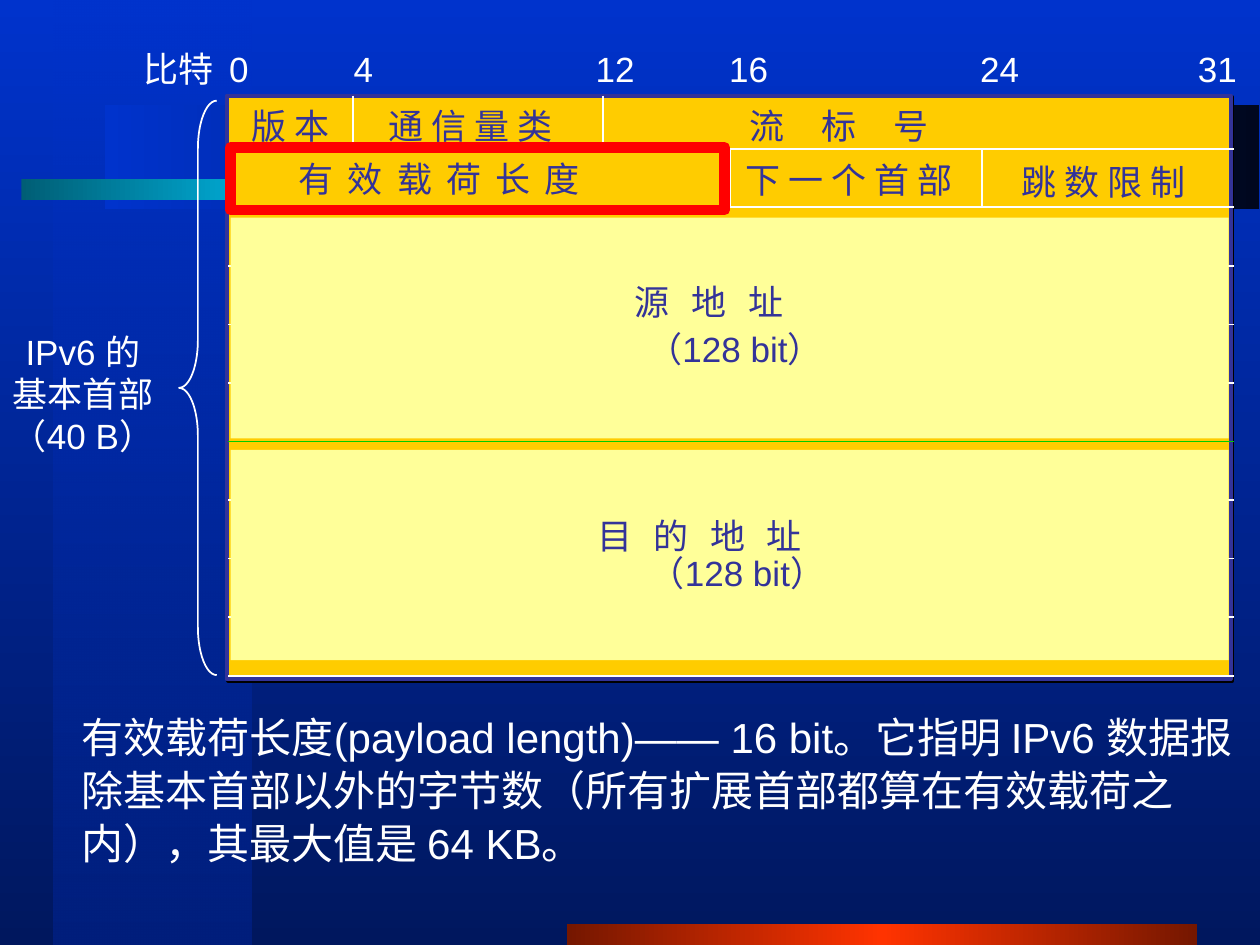
from lxml.etree import SubElement
from pptx import Presentation
from pptx.dml.color import RGBColor as RGB
from pptx.enum.shapes import MSO_CONNECTOR as LINE, MSO_SHAPE as SHAPE
from pptx.enum.text import MSO_AUTO_SIZE as FIT, PP_ALIGN as ALIGN
from pptx.oxml.ns import qn
from pptx.util import Cm, Pt

COLORS = {
    "white": "FFFFFF", "ink": "333399", "frame": "FFCC00", "address": "FFFF99",
    "green": "00CC00", "red": "FF0000", "black": "000000",
    "blue": "0033CC", "navy": "00175E", "deep": "001F7D", "night": "00071F",
    "brown": "751700", "orange": "FF3300", "teal": "005E75", "cyan": "00CCFF",
}
RGBS = {name: RGB.from_string(value) for name, value in COLORS.items()}


def paint_gradient(fill, root, colors, angle, first_alpha=100):
    fill.gradient()
    fill.gradient_angle = angle
    stops = next(root.iter(qn("a:gsLst")))
    for stop in list(stops):
        stops.remove(stop)
    for i, color in enumerate(colors):
        stop = SubElement(stops, qn("a:gs"), pos=str(100000 * i // (len(colors) - 1)))
        value = SubElement(stop, qn("a:srgbClr"), val=COLORS[color])
        if i == 0 and first_alpha < 100:
            SubElement(value, qn("a:alpha"), val=str(first_alpha * 1000))


def write(lines, x, y, width, height, color, size=20, gap=0, wrap=False, **paragraph_format):
    box = slide.shapes.add_textbox(Cm(x), Cm(y), Cm(width), Cm(height))
    frame = box.text_frame
    frame.text = "\n".join(lines)
    for key, value in {"word_wrap": wrap, "auto_size": FIT.SHAPE_TO_FIT_TEXT}.items():
        setattr(frame, key, value)
    for paragraph in frame.paragraphs:
        for key, value in paragraph_format.items():
            setattr(paragraph, key, value)
        for run in paragraph.runs:
            for key, value in {"name": "Arial", "size": Pt(size)}.items():
                setattr(run.font, key, value)
            run.font.color.rgb = RGBS[color]
            if gap:
                run.font._element.set("spc", str(round(gap * 100)))


deck = Presentation()
deck.slide_width, deck.slide_height = Cm(25.4), Cm(19.05)
slide = deck.slides.add_slide(deck.slide_layouts[6])
paint_gradient(slide.background.fill, slide.element, ["blue", "navy"], 270)

for x, y, width, height, colors, angle, alpha in [
    (1.07, 0, 4.01, 19.05, ["blue", "deep"], 270, 50),
    (11.43, 18.62, 12.7, 0.43, ["brown", "orange", "brown"], 180, 100),
    (2.11, 2.11, 23.27, 2.11, ["night", "blue"], 180, 100),
    (0.43, 3.61, 13.13, 0.43, ["teal", "cyan", "teal"], 180, 100),
]:
    band = slide.shapes.add_shape(SHAPE.RECTANGLE, Cm(x), Cm(y), Cm(width), Cm(height))
    band.shadow.inherit = False
    band.line.fill.background()
    paint_gradient(band.fill, band._element, colors, angle, alpha)

write(["有效载荷长度(payload length)—— 16 bit。它指明 IPv6 数据报除基本首部以外的字节数"
       "（所有扩展首部都算在有效载荷之内），其最大值是 64 KB。"],
      1.4, 14.17, 24, 3.63, "white", size=24, wrap=True, line_spacing=1.05)

header = slide.shapes.add_shape(SHAPE.RECTANGLE, Cm(4.57), Cm(1.93), Cm(20.24), Cm(11.76))
header.fill.solid()
header.fill.fore_color.rgb = RGBS["frame"]
header.line.color.rgb = RGBS["ink"]
header.line.width = Pt(2.25)
header.shadow.inherit = False
effects = header._element.spPr.find(qn("a:effectLst"))
shadow = SubElement(effects, qn("a:outerShdw"), dist=str(Pt(1.4)), dir="2700000")
SubElement(shadow, qn("a:srgbClr"), val=COLORS["black"])

TOP, FIRST, ROW = 1.93, 3.0, 1.18
LEFT, RIGHT = 4.6, 24.87
rules = [(LEFT, FIRST + ROW * i, RIGHT, FIRST + ROW * i, "green" if i == 5 else "white")
         for i in range(10)]
rules += [(x, TOP, x, FIRST, "white") for x in (7.11, 12.15)]
rules += [(x, FIRST, x, FIRST + ROW, "white") for x in (14.71, 19.79)]
for x1, y1, x2, y2, color in rules:
    rule = slide.shapes.add_connector(LINE.STRAIGHT, Cm(x1), Cm(y1), Cm(x2), Cm(y2))
    rule.line.color.rgb = RGBS[color]
    rule.line.width = Pt(1)
    SubElement(rule._element.spPr, qn("a:effectLst"))

for y, height in [(4.39, 4.45), (9.07, 4.24)]:
    address = slide.shapes.add_shape(SHAPE.RECTANGLE, Cm(4.65), Cm(y), Cm(20.12), Cm(height))
    address.shadow.inherit = False
    address.fill.solid()
    address.fill.fore_color.rgb = RGBS["address"]
    address.line.fill.background()

for bit, x, width in [("比特", 2.64, 1.93), ("0", 4.37, 0.89), ("4", 6.88, 0.89),
                      ("12", 11.76, 1.3), ("16", 14.45, 1.3), ("24", 19.51, 1.3),
                      ("31", 23.9, 1.3)]:
    write([bit], x, 0.84, width, 1.09, "white")

for field, x, y, width, gap in [
    ("版 本", 4.83, 1.98, 2.26, 0),
    ("通 信 量 类", 7.59, 1.98, 4.39, 0),
    ("流 标 号", 14.86, 1.98, 6.17, 8.35),
    ("有 效 载 荷 长 度", 5.77, 3.05, 8.28, 1.8),
    ("下 一 个 首 部", 14.78, 3.07, 5.46, 0),
    ("跳 数 限 制", 20.35, 3.12, 4.39, 0),
    ("源 地 址", 12.55, 5.54, 4.75, 3.9),
    ("（128 bit）", 12.8, 6.48, 4.37, 0),
    ("目 的 地 址", 11.79, 10.24, 6.5, 3.9),
    ("（128 bit）", 12.85, 11, 4.37, 0),
]:
    write([field], x, y, width, 1.09, "ink", gap=gap)

brace = slide.shapes.add_shape(SHAPE.LEFT_BRACE, Cm(3.61), Cm(2.03), Cm(0.76), Cm(11.58))
brace.adjustments[0] = 1.27
brace.adjustments[1] = 0.5
write(["IPv6 的", "基本首部", "（40 B）"], -0.18, 6.53, 3.71, 2.79, "white",
      alignment=ALIGN.CENTER)

payload = slide.shapes.add_shape(SHAPE.RECTANGLE, Cm(4.65), Cm(2.97), Cm(9.96), Cm(1.27))
for outline, color, weight in [(brace, "white", 1), (payload, "red", 6)]:
    outline.shadow.inherit = False
    outline.fill.background()
    outline.line.color.rgb = RGBS[color]
    outline.line.width = Pt(weight)

deck.save("out.pptx")
